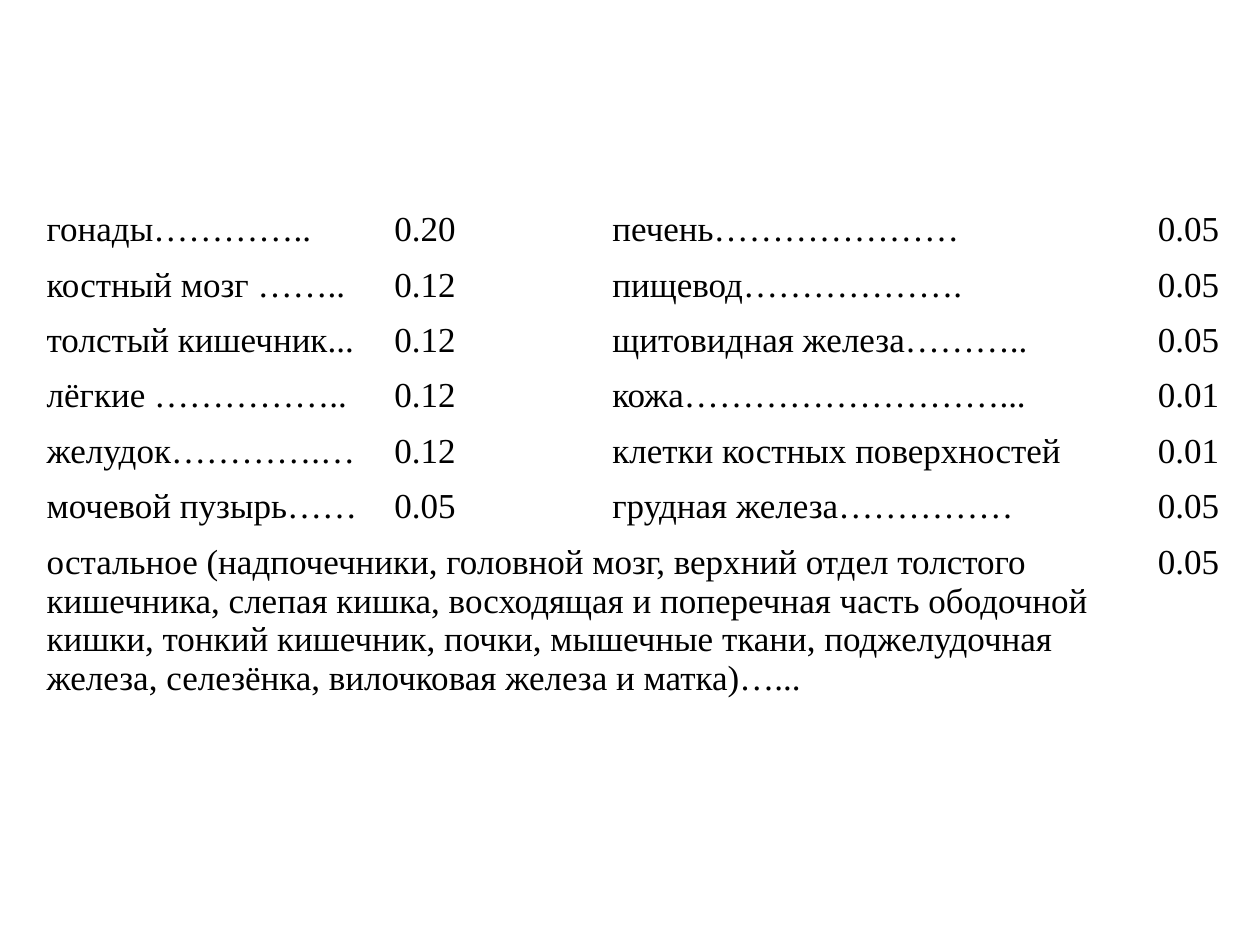
import pptx
import pptx.dml.color
import pptx.util
from pptx.util import Inches

THEME = {
    "font": "Times New Roman",
    "size": pptx.util.Pt(20),
    "text": pptx.dml.color.RGBColor(0, 0, 0),
}
NO_STYLE_NO_GRID = "{2D5ABB26-0587-4C30-8999-92F81FD0307C}"

COLUMN_WIDTHS = [2.76, 1.73, 4.33, 0.9]
ROW_HEIGHTS = [0.44] * 6 + [1.44]
ORGAN_ROWS = [
    ("гонады…………..", "0.20", "печень…………………", "0.05"),
    ("костный мозг ……..", "0.12", "пищевод……………….", "0.05"),
    ("толстый кишечник...", "0.12", "щитовидная железа………..", "0.05"),
    ("лёгкие ……………..", "0.12", "кожа………………………...", "0.01"),
    ("желудок………….…", "0.12", "клетки костных поверхностей", "0.01"),
    ("мочевой пузырь……", "0.05", "грудная железа……………", "0.05"),
    (
        "остальное (надпочечники, головной мозг, верхний отдел толстого "
        "кишечника, слепая кишка, восходящая и поперечная часть ободочной "
        "кишки, тонкий кишечник, почки, мышечные ткани, поджелудочная "
        "железа, селезёнка, вилочковая железа и матка)…...",
        "", "", "0.05",
    ),
]

presentation = pptx.Presentation()
presentation.slide_width = Inches(10)
presentation.slide_height = Inches(7.5)
slide = presentation.slides.add_slide(presentation.slide_layouts[6])

table_frame = slide.shapes.add_table(
    len(ORGAN_ROWS), len(COLUMN_WIDTHS), Inches(0.27), Inches(1.62),
    Inches(sum(COLUMN_WIDTHS)), Inches(sum(ROW_HEIGHTS)),
)
table = table_frame.table
table.first_row = False
table.horz_banding = False
table_properties = table_frame._element.graphic.graphicData.tbl.tblPr
table_properties[0].text = NO_STYLE_NO_GRID

for column, width in zip(table.columns, COLUMN_WIDTHS):
    column.width = Inches(width)
for row, height in zip(table.rows, ROW_HEIGHTS):
    row.height = Inches(height)

last_row = len(ORGAN_ROWS) - 1
table.cell(last_row, 0).merge(table.cell(last_row, 2))

for row, texts in zip(table.rows, ORGAN_ROWS):
    for cell, text in zip(row.cells, texts):
        cell.fill.background()
        cell.margin_left = cell.margin_right = Inches(0.1)
        cell.margin_top = cell.margin_bottom = Inches(0.05)
        paragraph = cell.text_frame.paragraphs[0]
        paragraph.font.name = THEME["font"]
        paragraph.font.size = THEME["size"]
        paragraph.font.color.rgb = THEME["text"]
        if text:
            paragraph.add_run().text = text

presentation.save("out.pptx")
